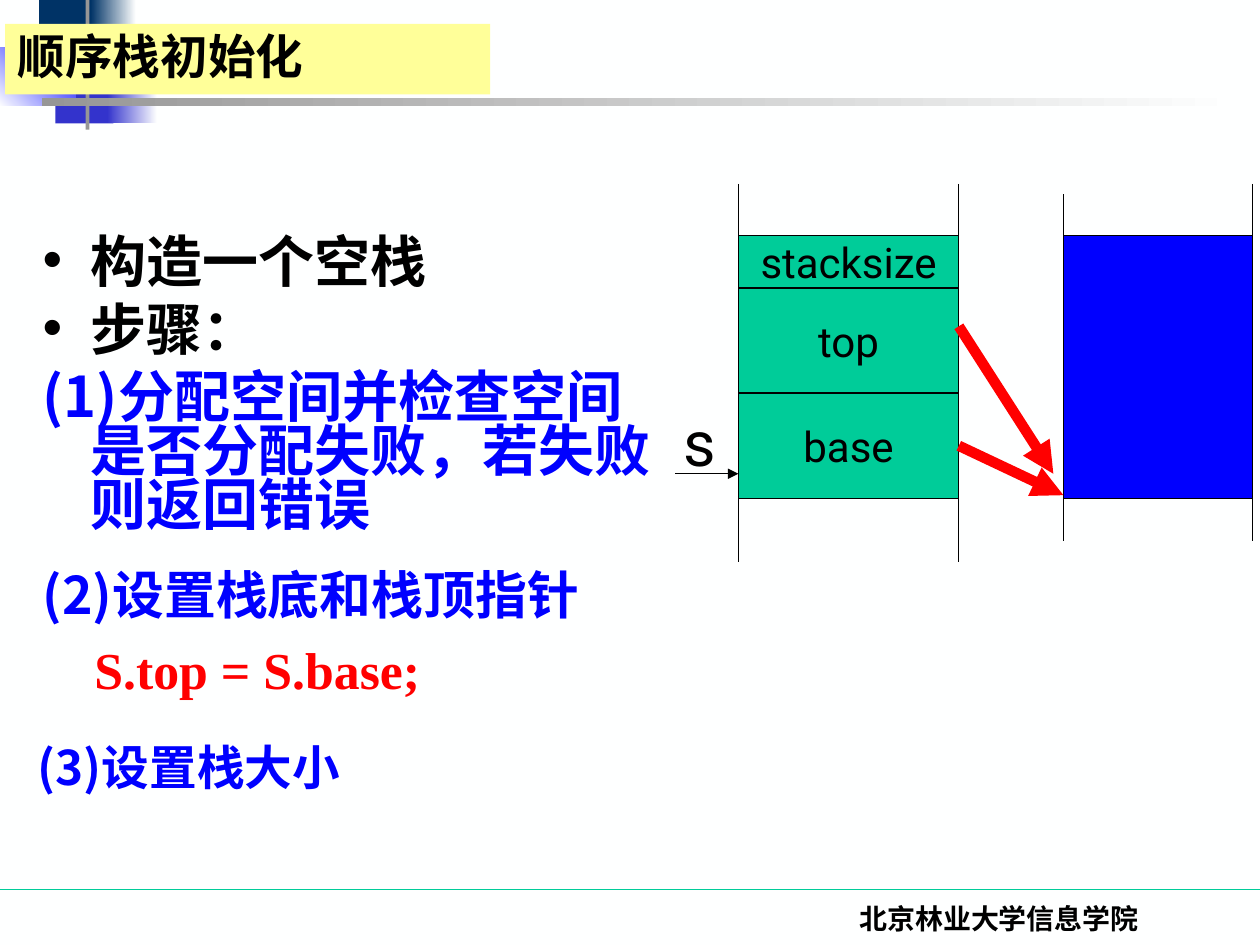
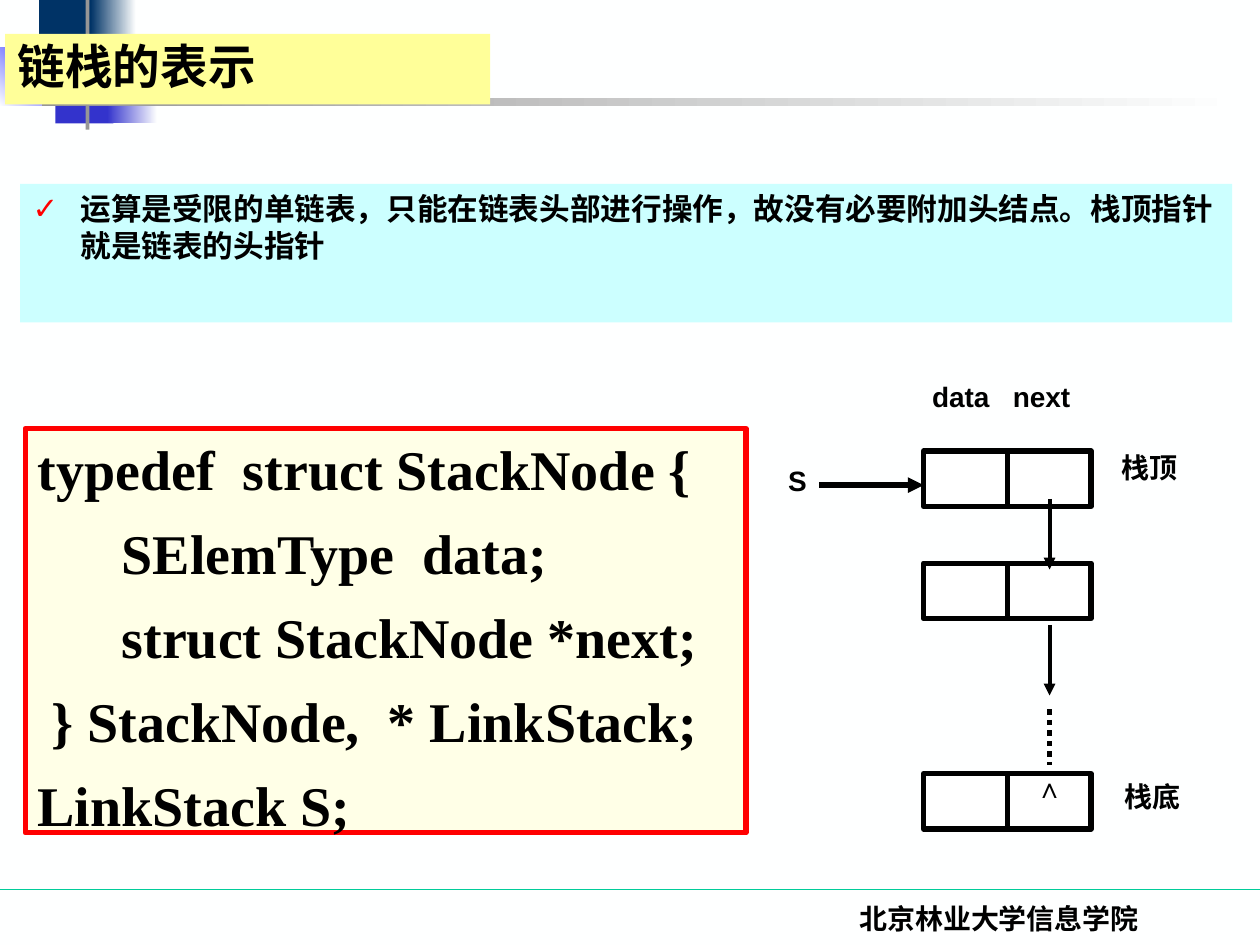
from dataclasses import dataclass
from typing import NamedTuple, Optional, Sequence

import lxml.etree
import pptx
import pptx.dml.color
import pptx.enum.dml
import pptx.enum.shapes
import pptx.enum.text
import pptx.oxml.ns
import pptx.util

RGB = pptx.dml.color.RGBColor
Align = pptx.enum.text.PP_ALIGN
Anchor = pptx.enum.text.MSO_ANCHOR
qn = pptx.oxml.ns.qn

# Colours
PAPER = RGB(0xFE, 0xFF, 0xFF)
WHITE = RGB(0xFF, 0xFF, 0xFF)
BLACK = RGB(0, 0, 0)
BLUE = RGB(0, 0, 0xFF)
RED = RGB(0xFF, 0, 0)
GREEN = RGB(0, 0xCC, 0x99)
NAVY = RGB(0, 0x33, 0x66)
INDIGO = RGB(0x33, 0x33, 0xCC)
GREY = RGB(0x96, 0x96, 0x96)
TITLE_YELLOW = RGB(0xFF, 0xFF, 0x99)
NOTE_CYAN = RGB(0xCC, 0xFF, 0xFF)
CODE_CREAM = RGB(0xFF, 0xFF, 0xE7)

# Fonts
CJK, ROBOTO, TIMES, ARIAL = "Noto Sans CJK SC", "Roboto", "Times New Roman", "Arial"

# Grid: 100 columns by 75 rows
SLIDE_W, SLIDE_H = pptx.util.Inches(10), pptx.util.Inches(7.5)
COLUMNS, ROWS = 100, 75
HANG = 3.8


def across(columns: float) -> int:
    return round(SLIDE_W * columns / COLUMNS)


def down(rows: float) -> int:
    return round(SLIDE_H * rows / ROWS)


class Area(NamedTuple):
    col: float
    row: float
    cols: float
    rows: float

    def emu(self) -> tuple:
        return across(self.col), down(self.row), across(self.cols), down(self.rows)


@dataclass(frozen=True)
class Style:
    size: float
    font: str
    bold: bool = True
    color: RGB = BLACK


@dataclass(frozen=True)
class Para:
    text: str
    style: Style
    align: Align = Align.LEFT
    spacing: Optional[float] = None
    before: float = 8
    margin: float = 0
    indent: float = 0
    bullet: str = ""
    bullet_color: RGB = BLACK


class Band(NamedTuple):
    area: Area
    start: RGB
    end: Optional[RGB] = None
    angle: float = 0


class Stroke(NamedTuple):
    start: tuple
    end: tuple
    color: RGB = BLACK
    width: float = 0.75
    arrow: bool = False
    dash: Optional[pptx.enum.dml.MSO_LINE] = None


LABEL = Style(16, ARIAL)
FIELD = Style(24, ROBOTO, bold=False)
TITLE = Style(27.2, CJK)
CODE = Style(32, TIMES)

# Corner ornament and title rule
ORNAMENT = [
    Band(Area(3.1, 0, 4.8, 5.2), NAVY),
    Band(Area(7.2, 0, 3.6, 5.2), NAVY, PAPER),
    Band(Area(4.4, 4.6, 4.6, 5.2), INDIGO),
    Band(Area(8.5, 4.6, 4, 5.2), INDIGO, PAPER),
    Band(Area(-0.1, 3.8, 6.1, 4.6), PAPER, BLUE, 45),
    Band(Area(6.8, -1.2, 0.3, 11.5), GREY),
    Band(Area(3.3, 7.8, 95.1, 0.6), GREY, PAPER),
]


def add_bullet(paragraph, para: Para) -> None:
    props = paragraph._p.get_or_add_pPr()
    color = lxml.etree.SubElement(props, qn("a:buClr"))
    lxml.etree.SubElement(color, qn("a:srgbClr"), val=str(para.bullet_color))
    lxml.etree.SubElement(props, qn("a:buFont"), typeface=ARIAL)
    lxml.etree.SubElement(props, qn("a:buChar"), char=para.bullet)


def write(shape, paras: Sequence[Para], anchor=Anchor.TOP, wrap: bool = True) -> None:
    frame = shape.text_frame
    frame.word_wrap, frame.vertical_anchor = wrap, anchor
    for index, para in enumerate(paras):
        paragraph = frame.add_paragraph() if index else frame.paragraphs[0]
        if para.bullet:
            add_bullet(paragraph, para)
        layout = {"alignment": para.align, "line_spacing": para.spacing,
                  "space_before": pptx.util.Pt(para.before if index else 0)}
        for name, value in layout.items():
            setattr(paragraph, name, value)
        props = paragraph._p.get_or_add_pPr()
        props.set("marL", str(across(para.margin)))
        props.set("indent", str(across(para.indent)))
        run = paragraph.add_run()
        run.text = para.text
        style = para.style
        face = {"size": pptx.util.Pt(style.size), "bold": style.bold, "name": style.font}
        for name, value in face.items():
            setattr(run.font, name, value)
        run.font.color.rgb = style.color
        lxml.etree.SubElement(run._r.get_or_add_rPr(), qn("a:ea"), typeface=CJK)


def text(slide, area: Area, *paras: Para, wrap: bool = True) -> None:
    write(slide.shapes.add_textbox(*area.emu()), paras, wrap=wrap)


def box(slide, area: Area, fill: RGB, edge: Optional[RGB] = None, width: float = 0.75):
    shape = slide.shapes.add_shape(pptx.enum.shapes.MSO_SHAPE.RECTANGLE, *area.emu())
    shape.shadow.inherit = False
    shape.fill.solid()
    shape.fill.fore_color.rgb = fill
    if edge is None:
        shape.line.fill.background()
    else:
        shape.line.color.rgb = edge
        shape.line.width = pptx.util.Pt(width)
    return shape


def band(slide, item: Band) -> None:
    shape = box(slide, item.area, item.start)
    if item.end is not None:
        shape.fill.gradient()
        shape.fill.gradient_angle = item.angle
        for stop, color in zip(shape.fill.gradient_stops, (item.start, item.end)):
            stop.color.rgb = color


def stroke(slide, item: Stroke):
    line = slide.shapes.add_connector(
        pptx.enum.shapes.MSO_CONNECTOR.STRAIGHT,
        across(item.start[0]), down(item.start[1]), across(item.end[0]), down(item.end[1]))
    line.line.color.rgb = item.color
    line.line.width = pptx.util.Pt(item.width)
    if item.dash is not None:
        line.line.dash_style = item.dash
    if item.arrow:
        lxml.etree.SubElement(line.line._get_or_add_ln(), qn("a:tailEnd"), type="triangle")
    lxml.etree.SubElement(line._element.spPr, qn("a:effectLst"))
    return line


def new_slide(deck):
    slide = deck.slides.add_slide(deck.slide_layouts[6])
    slide.background.fill.solid()
    slide.background.fill.fore_color.rgb = PAPER
    stroke(slide, Stroke((0, 70.6), (COLUMNS, 70.6), GREEN))
    for item in ORNAMENT:
        band(slide, item)
    text(slide, Area(58.6, 71.1, 41.4, 5),
         Para("北京林业大学信息学院", Style(16, TIMES), Align.CENTER))
    return slide


def title(slide, words: str, row: float) -> None:
    write(box(slide, Area(0.4, row, 38.5, 5.6), TITLE_YELLOW),
          [Para(words, TITLE, spacing=0.9)], Anchor.MIDDLE)


def sequential_stack(deck) -> None:
    slide = new_slide(deck)

    # Steps
    hanging = {"spacing": 0.8, "margin": HANG, "indent": -HANG}
    goal = Style(32, CJK)
    text(slide, Area(2.4, 18.5, 50.9, 26.6),
         Para("构造一个空栈", goal, bullet="•", **hanging),
         Para("步骤：", goal, bullet="•", **hanging),
         Para("(1)分配空间并检查空间是否分配失败，若失败则返回错误",
              Style(32, CJK, color=BLUE), **hanging))
    title(slide, "顺序栈初始化", 1.9)

    # Stack record: one unit for the size, two for each pointer
    left, width, unit, row = 58.6, 17.5, 4.17, 18.7
    right = left + width
    fields = {}
    for name, units in (("stacksize", 1), ("top", 2), ("base", 2)):
        fields[name] = box(slide, Area(left, row, width, units * unit), GREEN, BLACK)
        write(fields[name], [Para(name, FIELD, Align.CENTER)], Anchor.MIDDLE, wrap=False)
        row += units * unit
    for col in (left, right):
        stroke(slide, Stroke((col, 14.6), (col, 44.6)))
    stroke(slide, Stroke((53.6, 37.6), (left, 37.6), arrow=True))
    text(slide, Area(53.3, 31.5, 4.4, 7), Para("s", Style(36, ROBOTO, bold=False)), wrap=False)

    # Allocated space
    space = Area(84.4, 18.7, 15, 5 * unit)
    box(slide, space, BLUE, BLACK)
    for col, start in ((space.col, 15.4), (space.col + space.cols, 14.6)):
        stroke(slide, Stroke((col, start), (col, 42.9)))

    # Both pointers lead to the bottom of the space
    base_link = stroke(slide, Stroke((right, 35.1), (84.4, 39.3), RED, 6, True))
    base_link.begin_connect(fields["base"], 3)
    stroke(slide, Stroke((right, 25.9), (83.6, 37.6), RED, 6, True))

    # Remaining steps
    text(slide, Area(2.4, 45.1, 51.2, 11.9),
         Para("(2)设置栈底和栈顶指针", Style(29.6, CJK, color=BLUE), **hanging),
         Para("S.top = S.base;", Style(29.6, TIMES, color=RED), margin=4.1))
    text(slide, Area(2, 58.6, 49.1, 5.7),
         Para("(3)设置栈大小", Style(27.2, CJK, color=BLUE),
              spacing=0.9, margin=HANG, indent=-HANG))


def linked_stack(deck) -> None:
    slide = new_slide(deck)
    title(slide, "链栈的表示", 2.7)

    # Remark
    write(box(slide, Area(1.6, 14.6, 96.2, 11), NOTE_CYAN),
          [Para("运算是受限的单链表，只能在链表头部进行操作，故没有必要附加头结点。"
                "栈顶指针就是链表的头指针", Style(17.5, TIMES),
                margin=HANG, indent=-HANG, bullet="✓", bullet_color=RED)])

    # Type definition
    code = ["typedef  struct StackNode {",
            "      SElemType  data;",
            "      struct StackNode *next;",
            " } StackNode,  * LinkStack;",
            "LinkStack S;"]
    write(box(slide, Area(2, 34, 57.2, 32.1), CODE_CREAM, RED, 3),
          [Para(line, CODE, before=9.6, margin=HANG, indent=-HANG) for line in code])

    # Nodes, each split into data and next
    node_left, node_width, node_height = 73.3, 13.3, 4.4
    middle = node_left + node_width / 2
    for row in (35.8, 44.7, 61.4):
        node = box(slide, Area(node_left, row, node_width, node_height), WHITE, BLACK, 3)
        divider = stroke(slide, Stroke((middle, row), (middle, row + node_height), width=3))
        divider.begin_connect(node, 0)
        divider.end_connect(node, 2)

    # Links
    link = 83.3
    for item in (
        Stroke((link, 39.6), (link, 45.2), width=2.25, arrow=True),
        Stroke((link, 49.6), (link, 55.2), width=2.25, arrow=True),
        Stroke((link, 56.3), (link, 60.7), width=3, dash=pptx.enum.dml.MSO_LINE.ROUND_DOT),
        Stroke((65, 38.5), (node_left, 38.5), width=3, arrow=True),
    ):
        stroke(slide, item)

    # Labels
    for words, col, row, cols, align in (
        ("data", 73, 29.6, 7, Align.LEFT),
        ("next", 79.4, 29.6, 7, Align.LEFT),
        ("栈顶", 88, 35.3, 10, Align.LEFT),
        ("栈底", 88.3, 61.4, 10, Align.LEFT),
        ("∧", 80.8, 60.7, 5, Align.CENTER),
        ("S", 60.8, 36.3, 5, Align.CENTER),
    ):
        text(slide, Area(col, row, cols, 3.7), Para(words, LABEL, align))


def main() -> None:
    deck = pptx.Presentation()
    deck.slide_width, deck.slide_height = SLIDE_W, SLIDE_H
    sequential_stack(deck)
    linked_stack(deck)
    deck.save("out.pptx")


if __name__ == "__main__":
    main()
